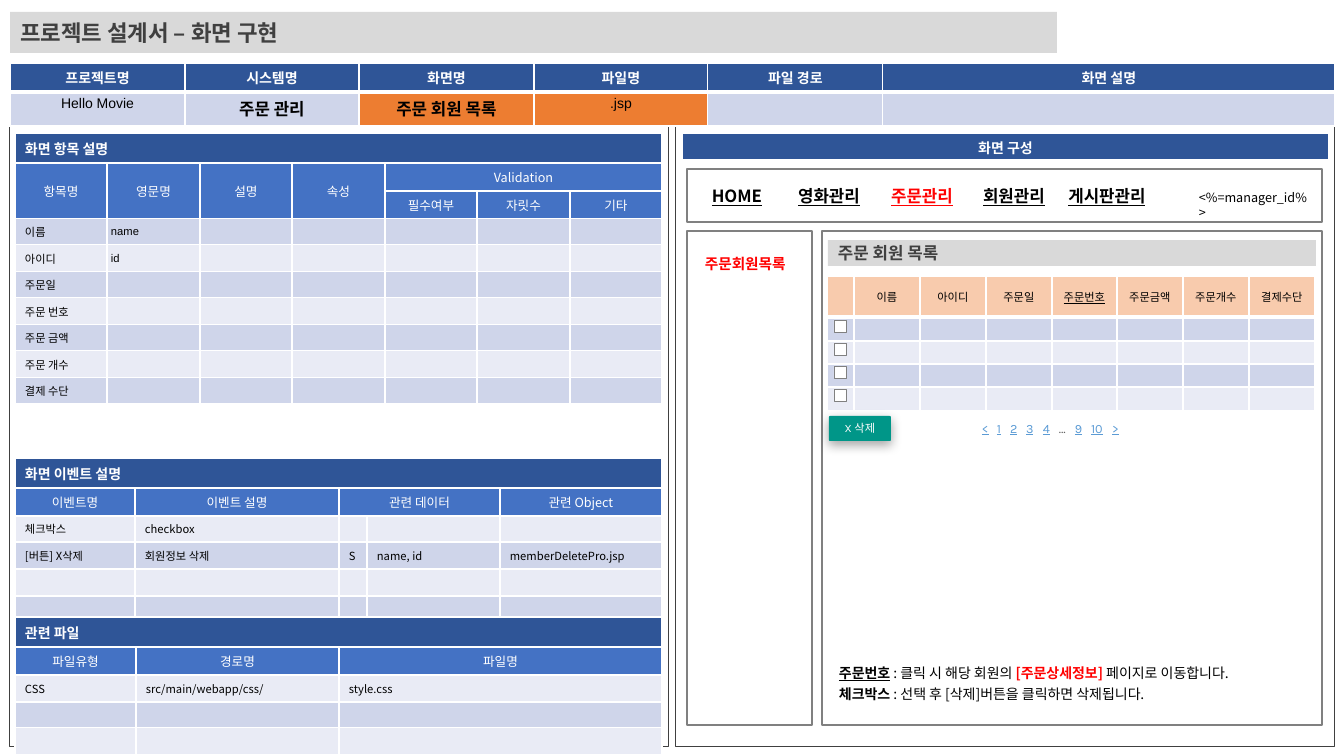
from dataclasses import dataclass, replace

from lxml import etree
from pptx import Presentation
from pptx.dml.color import RGBColor
from pptx.enum.shapes import MSO_SHAPE
from pptx.enum.text import MSO_ANCHOR, MSO_AUTO_SIZE, PP_ALIGN
from pptx.oxml.ns import qn
from pptx.util import Emu, Pt

RECTANGLE, ROUNDED = MSO_SHAPE.RECTANGLE, MSO_SHAPE.ROUNDED_RECTANGLE
TOP, MIDDLE = MSO_ANCHOR.TOP, MSO_ANCHOR.MIDDLE
LEFT, CENTER = PP_ALIGN.LEFT, PP_ALIGN.CENTER
FIXED_SIZE = MSO_AUTO_SIZE.NONE

EMU_PER_PX = 914400 / 100.8
KOREAN_FONT = "Noto Sans CJK KR"
COLORS = {
    "white": "FFFFFF", "black": "000000", "dark": "404040", "gray": "808080",
    "light_gray": "D9D9D9", "navy": "2F5597", "blue": "4472C4",
    "band_dark": "CFD5EA", "band_light": "E9EBF5", "orange": "ED7D31",
    "peach": "F8CBAD", "red": "FF0000", "teal": "009688",
    "link": "5B9BD5", "ellipsis": "5F5F5F",
}


@dataclass(frozen=True)
class TextStyle:
    size: float = 8
    color: str = "black"
    bold: bool = False
    underline: bool = False
    font: str = KOREAN_FONT


@dataclass(frozen=True)
class RowStyle:
    text: TextStyle
    fill: str
    align: PP_ALIGN = LEFT
    bottom_border: int = 1


BODY = TextStyle()
SECTION = RowStyle(TextStyle(10, "white", True), "navy")
COLUMNS = RowStyle(TextStyle(9, "white"), "blue", CENTER)
DARK = RowStyle(BODY, "band_dark")
LIGHT = RowStyle(BODY, "band_light")


def px(value):
    return Emu(round(value * EMU_PER_PX))


def rgb(name):
    return RGBColor.from_string(COLORS[name])


def even(total, count):
    edges = [round(total * i / count) for i in range(count + 1)]
    return [end - start for start, end in zip(edges, edges[1:])]


def add_run(paragraph, text, style):
    run = paragraph.add_run()
    run.text = text
    font = run.font
    font.name, font.size = style.font, Pt(style.size)
    font.bold, font.underline = style.bold, style.underline
    font.color.rgb = rgb(style.color)
    etree.SubElement(run._r.get_or_add_rPr(), qn("a:ea"), typeface=KOREAN_FONT)


def set_frame(frame, margins=(10, 5), anchor=TOP, wrap=True):
    frame.auto_size = FIXED_SIZE
    frame.word_wrap = wrap
    frame.vertical_anchor = anchor
    frame.margin_left = frame.margin_right = px(margins[0])
    frame.margin_top = frame.margin_bottom = px(margins[1])


def add_box(slide, box, fill=None, line=None, line_width=1, kind=RECTANGLE):
    shape = slide.shapes.add_shape(kind, *map(px, box))
    shape.shadow.inherit = False
    if fill:
        shape.fill.solid()
        shape.fill.fore_color.rgb = rgb(fill)
    else:
        shape.fill.background()
    if line:
        shape.line.color.rgb = rgb(line)
        shape.line.width = Pt(line_width)
    else:
        shape.line.fill.background()
    return shape


def write_label(shape, text, style, align=LEFT, margins=(10, 5), anchor=MIDDLE, wrap=True):
    set_frame(shape.text_frame, margins, anchor, wrap)
    paragraph = shape.text_frame.paragraphs[0]
    paragraph.alignment = align
    add_run(paragraph, text, style)


def add_label(slide, box, text, style, **options):
    write_label(slide.shapes.add_textbox(*map(px, box)), text, style, **options)


def set_borders(cell, bottom_width):
    properties = cell._tc.get_or_add_tcPr()
    widths = {"a:lnL": 1, "a:lnR": 1, "a:lnT": 1, "a:lnB": bottom_width}
    for position, (tag, width) in enumerate(widths.items()):
        line = etree.Element(qn(tag), w=str(Pt(width)))
        fill = etree.SubElement(line, qn("a:solidFill"))
        etree.SubElement(fill, qn("a:srgbClr"), val=COLORS["white"])
        properties.insert(position, line)


def fill_cell(cell, text, style, anchor):
    cell.fill.solid()
    cell.fill.fore_color.rgb = rgb(style.fill)
    set_borders(cell, style.bottom_border)
    cell.vertical_anchor = anchor
    cell.margin_left = cell.margin_right = px(10)
    cell.margin_top = cell.margin_bottom = px(4)
    paragraph = cell.text_frame.paragraphs[0]
    paragraph.alignment = style.align
    if text:
        add_run(paragraph, text, style.text)
    else:
        paragraph._p.get_or_add_endParaRPr().set("sz", "600")


def add_grid(slide, origin, widths, heights, rows, styles, merges=(), special=None, anchor=MIDDLE):
    """Rows may be short: the missing cells stay empty. special maps (row, column) to a style."""
    box = (*origin, sum(widths), sum(heights))
    table = slide.shapes.add_table(len(heights), len(widths), *map(px, box)).table
    table.first_row = table.horz_banding = False
    for column, width in zip(table.columns, widths):
        column.width = px(width)
    for r, (height, texts, style) in enumerate(zip(heights, rows, styles)):
        table.rows[r].height = px(height)
        for c in range(len(widths)):
            text = texts[c] if c < len(texts) else ""
            fill_cell(table.cell(r, c), text, (special or {}).get((r, c), style), anchor)
    for first, last in merges:
        table.cell(*first).merge(table.cell(*last))
    return table


def add_project_header(slide):
    heading = RowStyle(TextStyle(10, "white", True, font="Arial"), "navy", CENTER, 3)
    value = RowStyle(TextStyle(10, font="Arial"), "band_dark", CENTER)
    strong = replace(value, text=TextStyle(12, bold=True, font="Arial"))
    special = {(1, 1): strong, (1, 2): replace(strong, fill="orange"),
               (1, 3): replace(value, fill="orange")}
    add_grid(slide, (10, 63), [*even(873, 5), 452], [29, 34],
             [["프로젝트명", "시스템명", "화면명", "파일명", "파일 경로", "화면 설명"],
              ["Hello Movie", "주문 관리", "주문 회원 목록", ".jsp"]],
             [heading, value], special=special, anchor=TOP)


def add_specification(slide):
    # Screen items
    item_dark, item_light = (replace(s, text=replace(BODY, font="Arial")) for s in (DARK, LIGHT))
    items = add_grid(
        slide, (15, 133), even(647, 7), [30, 28, 28, *even(185, 7)],
        [["화면 항목 설명"], ["항목명", "영문명", "설명", "속성", "Validation"],
         ["", "", "", "", "필수여부", "자릿수", "기타"],
         ["이름", "name"], ["아이디", "id"], ["주문일"], ["주문 번호"],
         ["주문 금액"], ["주문 개수"], ["결제 수단"]],
        [SECTION, COLUMNS, COLUMNS, *[item_dark, item_light] * 3, item_dark],
        merges=[((0, 0), (0, 6)), ((1, 4), (1, 6)), *[((1, c), (2, c)) for c in range(4)]])
    for row in (3, 4):
        items.cell(row, 1).margin_left = items.cell(row, 1).margin_right = px(4)

    # Screen events
    add_grid(slide, (15, 458), [120, 204, 28, 133, 162], [30, 28, *even(106, 4)],
             [["화면 이벤트 설명"], ["이벤트명", "이벤트 설명", "관련 데이터", "", "관련 Object"],
              ["체크박스", "checkbox"],
              ["[버튼] X삭제", "회원정보 삭제", "S", "name, id", "memberDeletePro.jsp"], [], []],
             [SECTION, COLUMNS, LIGHT, DARK, LIGHT, DARK],
             merges=[((0, 0), (0, 4)), ((1, 2), (1, 3))])

    # Related files
    add_grid(slide, (15, 617), [121, 203, 323], [30, 28, *even(80, 3)],
             [["관련 파일"], ["파일유형", "경로명", "파일명"],
              ["CSS", "src/main/webapp/css/", "style.css"], [], []],
             [SECTION, COLUMNS, LIGHT, DARK, LIGHT], merges=[((0, 0), (0, 2))])


def add_menu(slide):
    for left, width, text in [(711, 52, "HOME"), (795, 68, "영화관리"), (888, 68, "주문관리"),
                              (980, 68, "회원관리"), (1063, 88, "게시판관리")]:
        color = "red" if text == "주문관리" else "black"
        add_label(slide, (left, 186, width, 20), text, TextStyle(12, color, True, True),
                  align=CENTER, margins=(0, 0), wrap=False)
    add_label(slide, (1199, 190, 112, 30), "<%=manager_id%>", TextStyle(9), margins=(0, 0), anchor=TOP)
    add_label(slide, (695, 250, 115, 28), "주문회원목록", TextStyle(10.5, "red", True))


def add_order_list(slide):
    write_label(add_box(slide, (828, 240, 488, 26), "light_gray"), "주문 회원 목록",
                TextStyle(12, "dark", True))
    heading = RowStyle(BODY, "peach", CENTER, 3)
    underlined = replace(heading, text=replace(BODY, underline=True))
    add_grid(slide, (827, 276), [27, *even(461, 7)], [41, *even(94, 4)],
             [["", "이름", "아이디", "주문일", "주문번호", "주문금액", "주문개수", "결제수단"],
              [], [], [], []],
             [heading, DARK, LIGHT, DARK, LIGHT], special={(0, 4): underlined})
    for row in range(4):
        add_box(slide, (834, 320 + 23 * row, 12, 12), "white", "gray", 0.5)


def add_delete_button(slide):
    button = add_box(slide, (829, 416, 62, 25), "teal", kind=ROUNDED)
    button.adjustments[0] = 0.05
    write_label(button, "X 삭제", TextStyle(8, "white", font="Karla"), CENTER, (8, 4))
    effects = button._element.spPr.find(qn("a:effectLst"))
    shadow = etree.SubElement(effects, qn("a:outerShdw"), blurRad=str(Pt(8)), dist=str(Pt(3)),
                              dir="5400000", algn="t", rotWithShape="0")
    color = etree.SubElement(shadow, qn("a:srgbClr"), val=COLORS["black"])
    etree.SubElement(color, qn("a:alpha"), val="35000")


def add_pagination(slide):
    frame = slide.shapes.add_textbox(*map(px, (974, 417, 176, 23))).text_frame
    set_frame(frame, (8, 4), MIDDLE)
    paragraph = frame.paragraphs[0]
    tabs = etree.SubElement(paragraph._p.get_or_add_pPr(), qn("a:tabLst"))
    for stop in (15, 28, 44, 61, 77, 93, 109, 130):
        etree.SubElement(tabs, qn("a:tab"), pos=str(px(stop)), algn="l")
    plain = TextStyle(9, "link", font="Karla")
    for index, page in enumerate(["<", "1", "2", "3", "4", "…", "9", "10", ">"]):
        if index:
            add_run(paragraph, "\t", plain)
        style = replace(plain, color="ellipsis") if page == "…" else replace(plain, underline=True)
        add_run(paragraph, page, style)


def add_notes_on_use(slide):
    plain = TextStyle(10)
    bold = replace(plain, bold=True)
    lines = [[("주문번호", replace(bold, underline=True)), (" : 클릭 시 해당 회원의 ", plain),
              ("[주문상세정보] ", replace(bold, color="red")), ("페이지로 이동합니다.", plain)],
             [("체크박스 ", bold), (": 선택 후 [삭제]버튼을 클릭하면 삭제됩니다.", plain)]]
    frame = slide.shapes.add_textbox(*map(px, (829, 655, 470, 62))).text_frame
    set_frame(frame)
    for index, runs in enumerate(lines):
        paragraph = frame.add_paragraph() if index else frame.paragraphs[0]
        paragraph.line_spacing = 1.25
        for text, style in runs:
            add_run(paragraph, text, style)


def main():
    presentation = Presentation()
    presentation.slide_width, presentation.slide_height = px(1344), px(756)
    slide = presentation.slides.add_slide(presentation.slide_layouts[5])

    # Title
    title = slide.shapes.title
    title.left, title.top, title.width, title.height = map(px, (10, 12, 1047, 41))
    title.fill.solid()
    title.fill.fore_color.rgb = rgb("light_gray")
    write_label(title, "프로젝트 설계서 – 화면 구현", TextStyle(16, "dark", True))

    # Left half: specification
    for left in (9, 675):
        add_box(slide, (left, 124, 659, 622), line="dark", line_width=0.5)
    add_project_header(slide)
    add_specification(slide)

    # Right half: screen layout
    add_grid(slide, (682, 133), [647], [28], [["화면 구성"]],
             [replace(SECTION, align=CENTER, bottom_border=3)])
    for box in [(687, 169, 635, 53), (687, 231, 125, 494), (822, 231, 500, 494)]:
        add_box(slide, box, line="gray")
    add_menu(slide)
    add_order_list(slide)
    add_delete_button(slide)
    add_pagination(slide)
    add_notes_on_use(slide)

    presentation.save("out.pptx")


if __name__ == "__main__":
    main()
